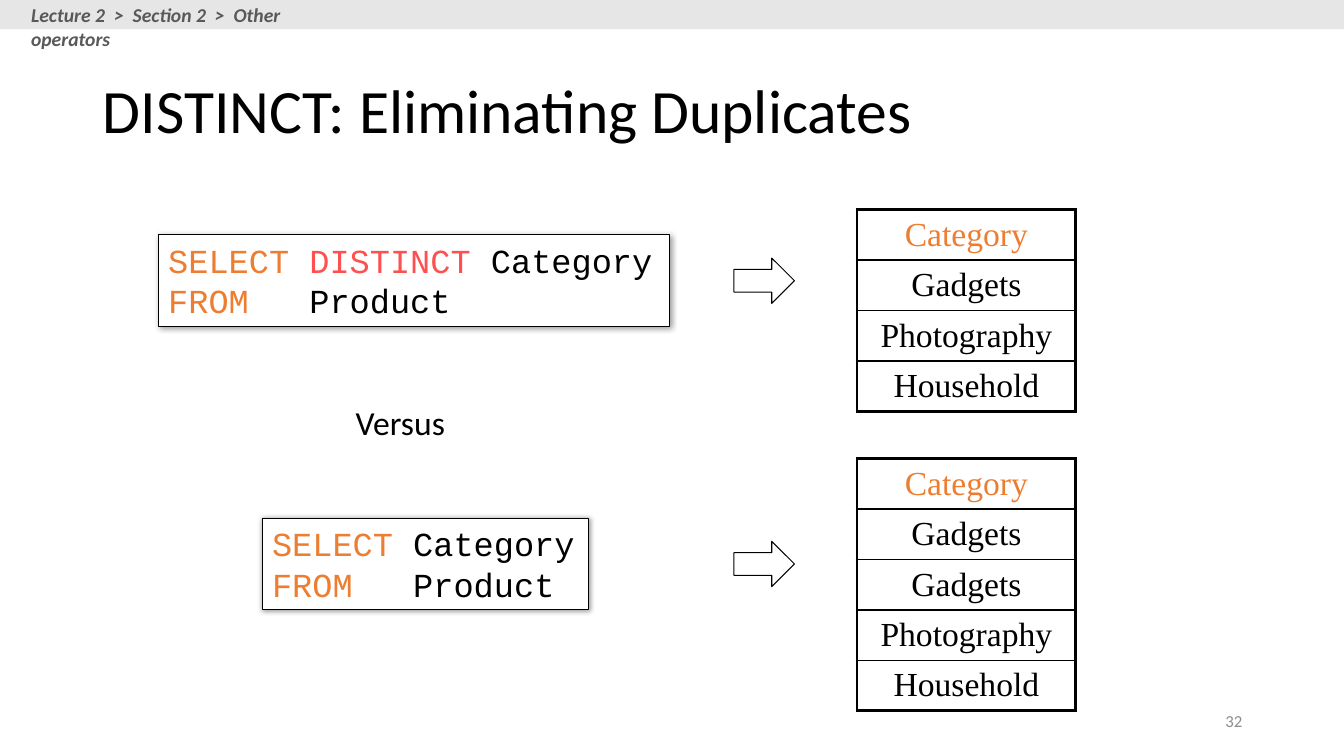
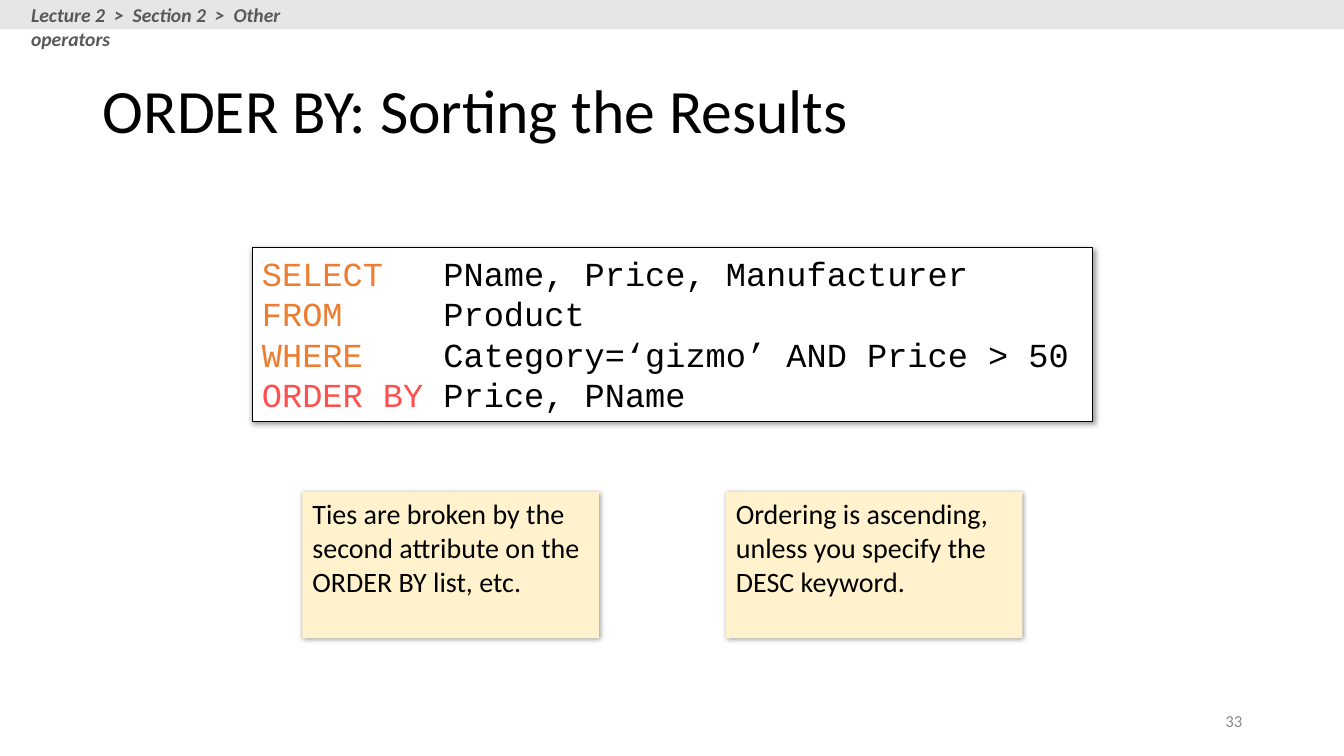
from lxml import etree
from pptx import Presentation
from pptx.dml.color import RGBColor
from pptx.enum.shapes import MSO_SHAPE as Shape
from pptx.enum.text import MSO_ANCHOR as Anchor, MSO_AUTO_SIZE as AutoSize, PP_ALIGN as Align
from pptx.oxml import parse_xml
from pptx.oxml.ns import nsdecls, qn
from pptx.util import Inches, Pt

BLACK, WHITE = "000000", "FFFFFF"
KEYWORD, HIGHLIGHT = "ED7D31", "FF5050"
BAND, CRUMB, NUMBER, NOTE = "E7E6E6", "595959", "8C8C8C", "FFF2CC"
SANS, MONO, SERIF = "Calibri", "Courier New", "Times New Roman"
BREADCRUMB = "Lecture 2  >  Section 2  >  Other operators"


def rgb(color):
    return RGBColor.from_string(color)


class Deck:
    """Holds the shared style and the slide being filled."""

    def __init__(self):
        self.prs = Presentation()
        self.prs.slide_width, self.prs.slide_height = Inches(13.33), Inches(7.5)
        self.slide = None

    def new_slide(self, heading, number):
        self.slide = self.prs.slides.add_slide(self.prs.slide_layouts[5])
        # Title
        title = self.slide.shapes.title
        title.left, title.top = Inches(0.92), Inches(0.4)
        title.width, title.height = Inches(11.5), Inches(1.45)
        frame = title.text_frame
        frame.text = heading
        frame.auto_size = AutoSize.NONE
        frame.vertical_anchor = Anchor.MIDDLE
        frame.paragraphs[0].line_spacing = 0.9
        self.style(frame.paragraphs[0], 44)
        # Band with breadcrumb, and slide number
        self.shape(Shape.RECTANGLE, 0, 0, 13.33, 0.29, fill=BAND)
        crumb = self.text(BREADCRUMB, 0.21, -0.02, 3.45, 0.34, 14, CRUMB)
        crumb.font.bold = crumb.font.italic = True
        self.text(str(number), 9.42, 6.95, 3, 0.4, 12, NUMBER, Align.RIGHT, Anchor.MIDDLE)

    def style(self, paragraph, size, color=BLACK, font=SANS, align=Align.LEFT):
        paragraph.alignment = align
        paragraph.font.name, paragraph.font.size = font, Pt(size)
        paragraph.font.color.rgb = rgb(color)

    def text(self, words, x, y, w, h, size, color=BLACK, align=Align.LEFT, anchor=Anchor.TOP):
        box = self.slide.shapes.add_textbox(Inches(x), Inches(y), Inches(w), Inches(h))
        frame = box.text_frame
        frame.word_wrap, frame.vertical_anchor = True, anchor
        frame.text = words
        self.style(frame.paragraphs[0], size, color, align=align)
        return frame.paragraphs[0]

    def shape(self, kind, x, y, w, h, fill=None, line=None, shadow=False):
        shape = self.slide.shapes.add_shape(kind, Inches(x), Inches(y), Inches(w), Inches(h))
        shape.shadow.inherit = False
        if fill:
            shape.fill.solid()
            shape.fill.fore_color.rgb = rgb(fill)
        else:
            shape.fill.background()
        if line:
            shape.line.color.rgb, shape.line.width = rgb(line), Pt(0.75)
        else:
            shape.line.fill.background()
        if shadow:
            effects = shape.element.spPr.find(qn("a:effectLst"))
            effects.append(parse_xml(
                f'<a:outerShdw {nsdecls("a")} blurRad="{Pt(4)}" dist="{Pt(1)}" dir="2700000"'
                f' algn="tl" rotWithShape="0"><a:srgbClr val="{BLACK}">'
                '<a:alpha val="40000"/></a:srgbClr></a:outerShdw>'))
        return shape

    def panel(self, lines, x, y, w, h, size, font=SANS, fill=WHITE, line=None):
        """A shadowed box; each line is a list of (text, colour) pieces."""
        frame = self.shape(Shape.RECTANGLE, x, y, w, h, fill, line, shadow=True).text_frame
        frame.word_wrap, frame.vertical_anchor = True, Anchor.TOP
        for i, pieces in enumerate(lines):
            paragraph = frame.add_paragraph() if i else frame.paragraphs[0]
            self.style(paragraph, size, font=font)
            for words, color in pieces:
                run = paragraph.add_run()
                run.text = words
                if color != BLACK:
                    run.font.color.rgb = rgb(color)

    def query(self, lines, x, y, w, h):
        self.panel(lines, x, y, w, h, 24, MONO, line=BLACK)

    def note(self, words, x):
        self.panel([[(words, BLACK)]], x, 4.88, 2.94, 1.45, 20, fill=NOTE)

    def arrow(self, y):
        self.shape(Shape.RIGHT_ARROW, 7.28, y, 0.6, 0.45, line=BLACK)

    def result(self, rows, y):
        """A one-column query result; the first row is the column name."""
        table = self.slide.shapes.add_table(
            len(rows), 1, Inches(8.5), Inches(y), Inches(2.17), Inches(0.5 * len(rows))).table
        table.first_row = table.horz_banding = False
        last = len(rows) - 1
        for i, words in enumerate(rows):
            cell = table.cell(i, 0)
            cell.text, cell.vertical_anchor = words, Anchor.MIDDLE
            self.style(cell.text_frame.paragraphs[0], 24, BLACK if i else KEYWORD,
                       SERIF, Align.CENTER)
            top = 2.25 if i < 2 else 1
            bottom = 2.25 if i in (0, last) else 1
            self.borders(cell, L=2.25, R=2.25, T=top, B=bottom)
            cell.fill.background()

    def borders(self, cell, **widths):
        properties = cell._tc.get_or_add_tcPr()
        for side, width in widths.items():
            edge = etree.SubElement(properties, qn(f"a:ln{side}"), w=str(Pt(width)))
            solid = etree.SubElement(edge, qn("a:solidFill"))
            etree.SubElement(solid, qn("a:srgbClr"), val=BLACK)


def distinct_slide(deck):
    deck.new_slide("DISTINCT: Eliminating Duplicates", 32)
    source = [("FROM   ", KEYWORD), ("Product", BLACK)]
    # With DISTINCT
    deck.query([[("SELECT ", KEYWORD), ("DISTINCT ", HIGHLIGHT), ("Category", BLACK)], source],
               1.57, 2.33, 5.07, 0.91)
    deck.arrow(2.56)
    deck.result(["Category", "Gadgets", "Photography", "Household"], 2.08)
    deck.text("Versus", 3.43, 3.94, 1.2, 0.5, 24)
    # Without DISTINCT
    deck.query([[("SELECT", KEYWORD), (" Category", BLACK)], source], 2.6, 5.14, 3.24, 0.91)
    deck.arrow(5.37)
    deck.result(["Category", "Gadgets", "Gadgets", "Photography", "Household"], 4.55)


def order_by_slide(deck):
    deck.new_slide("ORDER BY: Sorting the Results", 33)
    deck.query([
        [("SELECT   ", KEYWORD), ("PName, Price, Manufacturer", BLACK)],
        [("FROM", KEYWORD), ("     Product", BLACK)],
        [("WHERE   ", KEYWORD), (" Category=‘gizmo’ AND Price > 50", BLACK)],
        [("ORDER BY", HIGHLIGHT), (" Price, PName", BLACK)],
    ], 2.5, 2.46, 8.34, 1.72)
    # Remarks on the ordering
    deck.note("Ties are broken by the second attribute on the ORDER BY list, etc.", 3)
    deck.note("Ordering is ascending, unless you specify the DESC keyword.", 7.2)


def main():
    deck = Deck()
    distinct_slide(deck)
    order_by_slide(deck)
    deck.prs.save("out.pptx")


if __name__ == "__main__":
    main()
